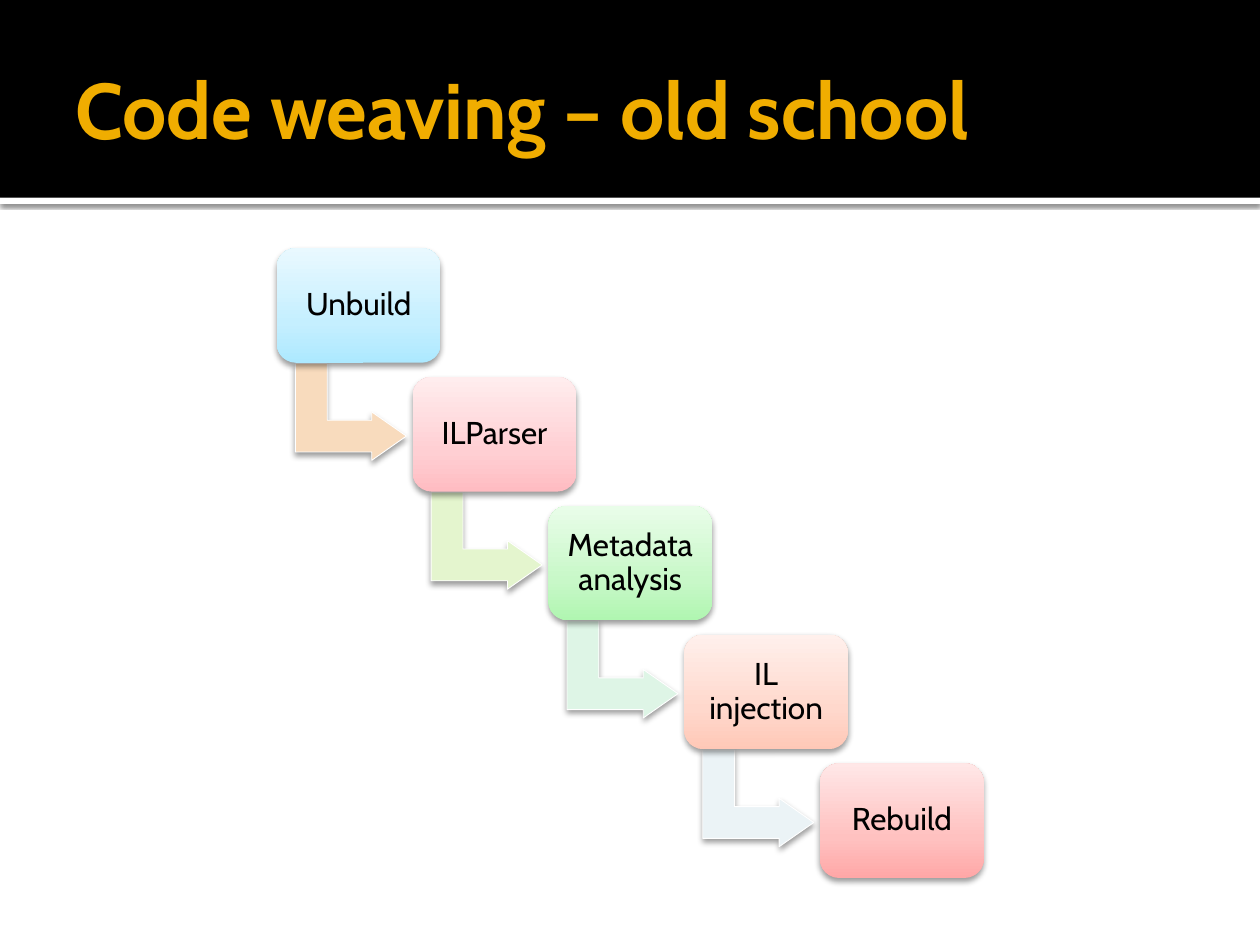
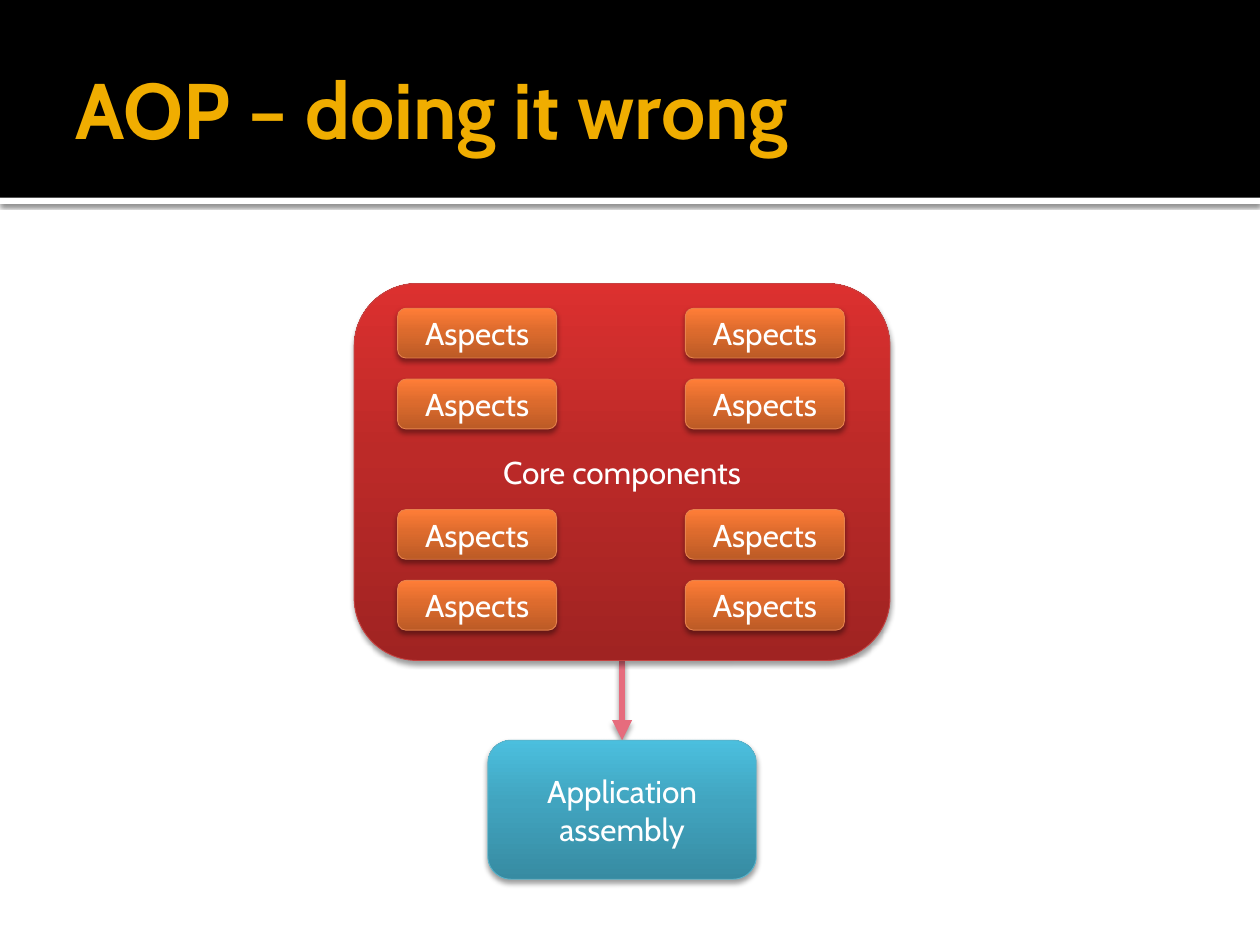
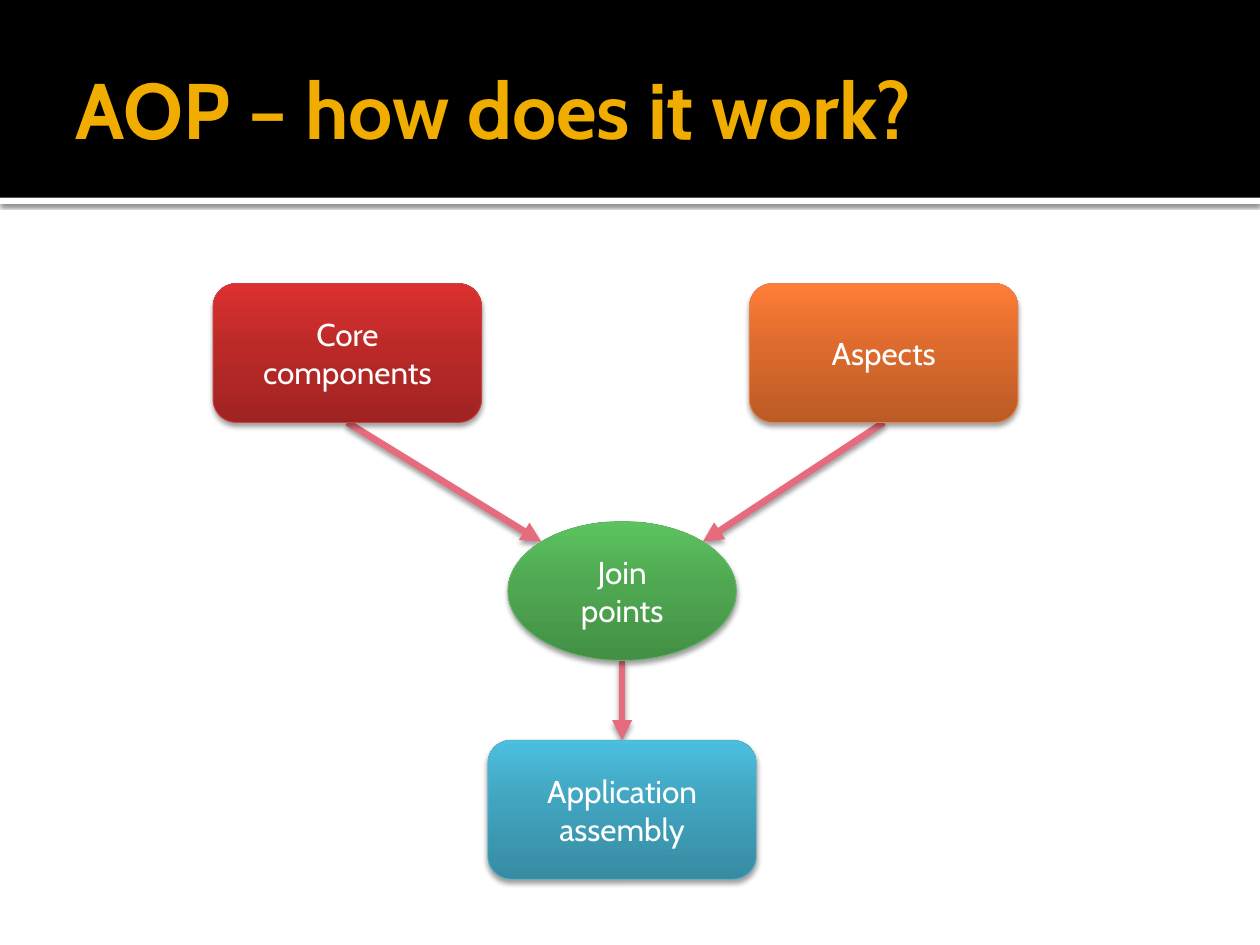
"""Build three slides on code weaving and aspect-oriented programming."""
from dataclasses import dataclass
from math import sqrt

from lxml import etree
from pptx import Presentation, util as u
from pptx.dml.color import RGBColor
from pptx.enum import shapes, text
from pptx.oxml.ns import qn


@dataclass(frozen=True)
class Theme:
    font: str = "Cabin"
    title_size: float = 45
    body_size: float = 18
    title: str = "F0AD00"
    band: str = "000000"
    paper: str = "FFFFFF"
    dark_text: str = "000000"
    light_text: str = "FFFFFF"
    arrow: str = "E66C7D"
    arrow_width: float = 3.82
    outline_width: float = 0.5
    strip_shadow: tuple = (60, 2.5, 0.8)
    step_shadow: tuple = (38, 3.5, 2)
    node_shadow: tuple = (38, 3.1, 2)
    step_stops: tuple = (0, 35, 100)
    node_stops: tuple = (0, 55, 100)


THEME = Theme()
WIDTH, HEIGHT = 720, 540
BAND_HEIGHT, STRIP_HEIGHT = 113, 3.6
CENTER = 355.5
NODE_SIZE = (153.4, 79.4)
NODE_TOP, ASSEMBLY_TOP = 162, 423

TITLES = {
    "weaving": "Code weaving – old school",
    "wrong": "AOP – doing it wrong",
    "working": "AOP – how does it work?",
}
CORE, ASPECTS, JOIN, ASSEMBLY = "Core components", "Aspects", "Join points", "Application assembly"
NODE_COLORS = {
    CORE: (("A02322", "BC2A28", "DC302F"), "C54342"),
    ASPECTS: (("BC5B26", "DD6B2D", "FF7D37"), "E7824C"),
    JOIN: (("438F45", "4FA851", "5CC35F"), "67B569"),
    ASSEMBLY: (("378BA2", "41A4BF", "4BBFDE"), "5BB3CA"),
}
STEPS = [
    ("Unbuild", ("ADE9FF", "C5EFFF", "E9F9FF"), "F8DBBD"),
    ("ILParser", ("FFBCC2", "FFCFD3", "FFEDEE"), "E4F5CE"),
    ("Metadata analysis", ("B0F6B1", "C8F8C8", "E9FDE9"), "DEF5E6"),
    ("IL injection", ("FFC8B7", "FFD8CC", "FFF0EC"), "EBF3F6"),
    ("Rebuild", ("FFA7A7", "FFC1C0", "FFE7E7"), None),
]
STEP_ORIGIN, STEP_SHIFT, STEP_SIZE = (158.2, 141.8), (77.6, 73.6), (93.6, 65.5)
BEND_OFFSET, BEND_SIZE, BEND_SHAPE = (14.6, 61.9), (55.4, 63.4), (0.328, 0.25, 0.358)
TILE_LEFTS, TILE_PAIR_TOPS, TILE_PITCH, TILE_SIZE = (227.2, 391.6), (176.2, 291.2), 40.5, (90.9, 28.4)


def assign(target, values):
    for name, value in values.items():
        setattr(target, name, value)


def color(code):
    return RGBColor.from_string(code)


def add_shadow(effects, shadow):
    opacity, blur, distance = shadow
    outer = etree.SubElement(effects, qn("a:outerShdw"), blurRad=str(u.Pt(blur)),
                             dist=str(u.Pt(distance)), dir="5400000", rotWithShape="0")
    black = etree.SubElement(outer, qn("a:srgbClr"), val="000000")
    etree.SubElement(black, qn("a:alpha"), val=str(opacity * 1000))


def fill_gradient(shape, colors, positions):
    shape.fill.gradient()
    shape.fill.gradient_angle = 90
    stops = shape.element.find(".//" + qn("a:gsLst"))
    for stop in list(stops):
        stops.remove(stop)
    for code, position in zip(colors, positions):
        stop = etree.SubElement(stops, qn("a:gs"), pos=str(position * 1000))
        etree.SubElement(stop, qn("a:srgbClr"), val=code)


def write(shape, words, size, ink, align, insets=(7.2, 3.6, 7.2, 3.6), bold=False, spacing=1.0):
    frame = shape.text_frame
    sides = ("margin_left", "margin_top", "margin_right", "margin_bottom")
    assign(frame, {"word_wrap": True, "vertical_anchor": text.MSO_ANCHOR.MIDDLE,
                   **{side: u.Pt(inset) for side, inset in zip(sides, insets)}})
    paragraph = frame.paragraphs[0]
    assign(paragraph, {"alignment": align, "line_spacing": spacing})
    run = paragraph.add_run()
    run.text = words
    assign(run.font, {"name": THEME.font, "size": u.Pt(size), "bold": bold})
    run.font.color.rgb = color(ink)


def add_block(slide, kind, place, size, fill, positions=None, outline=None, shadow=None):
    shape = slide.shapes.add_shape(kind, *map(u.Pt, (*place, *size)))
    if positions:
        fill_gradient(shape, fill, positions)
    else:
        shape.fill.solid()
        shape.fill.fore_color.rgb = color(fill)
    if outline:
        shape.line.color.rgb = color(outline)
        shape.line.width = u.Pt(THEME.outline_width)
    else:
        shape.line.fill.background()
    shape.shadow.inherit = False
    if shadow:
        add_shadow(shape.element.spPr.find(qn("a:effectLst")), shadow)
    return shape


def add_node(slide, words, place, size=NODE_SIZE, kind=shapes.MSO_SHAPE.ROUNDED_RECTANGLE):
    fill, outline = NODE_COLORS[words]
    shape = add_block(slide, kind, place, size, fill, THEME.node_stops, outline, THEME.node_shadow)
    write(shape, words, THEME.body_size, THEME.light_text, text.PP_ALIGN.CENTER)
    return shape


def add_centered(slide, words, top, size=NODE_SIZE, kind=shapes.MSO_SHAPE.ROUNDED_RECTANGLE, center=CENTER):
    return add_node(slide, words, (center - size[0] / 2, top), size, kind)


def add_arrow(slide, start, end, source=None, target=None):
    connector = slide.shapes.add_connector(shapes.MSO_CONNECTOR.STRAIGHT, *start, *end)
    connector.line.color.rgb = color(THEME.arrow)
    connector.line.width = u.Pt(THEME.arrow_width)
    properties = connector.element.spPr
    etree.SubElement(properties.find(qn("a:ln")), qn("a:tailEnd"), type="triangle")
    add_shadow(etree.SubElement(properties, qn("a:effectLst")), THEME.node_shadow)
    if source is not None:
        connector.begin_connect(source, 2)
    if target is not None:
        connector.end_connect(target, 0)
    connector.element.getparent().insert(2, connector.element)


def bottom_of(shape):
    return shape.left + shape.width // 2, shape.top + shape.height


def top_of(shape):
    return shape.left + shape.width // 2, shape.top


def start_slide(presentation, title):
    slide = presentation.slides.add_slide(presentation.slide_layouts[6])
    slide.background.fill.solid()
    slide.background.fill.fore_color.rgb = color(THEME.paper)
    rectangle = shapes.MSO_SHAPE.RECTANGLE
    add_block(slide, rectangle, (0, BAND_HEIGHT), (WIDTH, STRIP_HEIGHT), THEME.paper,
              shadow=THEME.strip_shadow)
    add_block(slide, rectangle, (0, 0), (WIDTH, BAND_HEIGHT), THEME.band)
    box = slide.shapes.add_textbox(*map(u.Pt, (36, 12.2, 648, 98.6)))
    write(box, title, THEME.title_size, THEME.title, text.PP_ALIGN.LEFT, (7.2, 3.6, 3.6, 3.6), True)
    return slide


def build_weaving(presentation):
    slide = start_slide(presentation, TITLES["weaving"])
    for index, (words, fill, bend_color) in enumerate(STEPS):
        left, top = (origin + index * shift for origin, shift in zip(STEP_ORIGIN, STEP_SHIFT))
        if bend_color:
            bend = add_block(slide, shapes.MSO_SHAPE.BENT_UP_ARROW,
                             (left + BEND_OFFSET[0], top + BEND_OFFSET[1]), BEND_SIZE,
                             bend_color, outline=THEME.paper, shadow=THEME.step_shadow)
            bend.rotation = 90
            for number, value in enumerate(BEND_SHAPE):
                bend.adjustments[number] = value
        step = add_block(slide, shapes.MSO_SHAPE.ROUNDED_RECTANGLE, (left, top), STEP_SIZE, fill,
                         THEME.step_stops, shadow=THEME.step_shadow)
        write(step, words, THEME.body_size, THEME.dark_text, text.PP_ALIGN.CENTER,
              (5, 5, 5, 5), spacing=0.9)


def build_wrong(presentation):
    slide = start_slide(presentation, TITLES["wrong"])
    core = add_centered(slide, CORE, NODE_TOP, (306.2, 215.4))
    assembly = add_centered(slide, ASSEMBLY, ASSEMBLY_TOP)
    for pair_top in TILE_PAIR_TOPS:
        for row in range(2):
            for left in TILE_LEFTS:
                add_node(slide, ASPECTS, (left, pair_top + row * TILE_PITCH), TILE_SIZE)
    add_arrow(slide, bottom_of(core), top_of(assembly), core, assembly)


def build_working(presentation):
    slide = start_slide(presentation, TITLES["working"])
    core = add_centered(slide, CORE, NODE_TOP, center=198.5)
    aspects = add_centered(slide, ASPECTS, NODE_TOP, center=505)
    assembly = add_centered(slide, ASSEMBLY, ASSEMBLY_TOP)
    join = add_centered(slide, JOIN, 298, (130.6, 79.4), shapes.MSO_SHAPE.OVAL)
    middle = join.left + join.width // 2
    reach = int(join.width / 2 / sqrt(2))
    shoulder = join.top + int(join.height / 2 * (1 - 1 / sqrt(2)))
    for source, side in ((core, -1), (aspects, 1)):
        add_arrow(slide, bottom_of(source), (middle + side * reach, shoulder), source)
    add_arrow(slide, bottom_of(join), top_of(assembly), target=assembly)


def main():
    presentation = Presentation()
    assign(presentation, {"slide_width": u.Pt(WIDTH), "slide_height": u.Pt(HEIGHT)})
    for build in (build_weaving, build_wrong, build_working):
        build(presentation)
    presentation.save("out.pptx")


if __name__ == "__main__":
    main()
